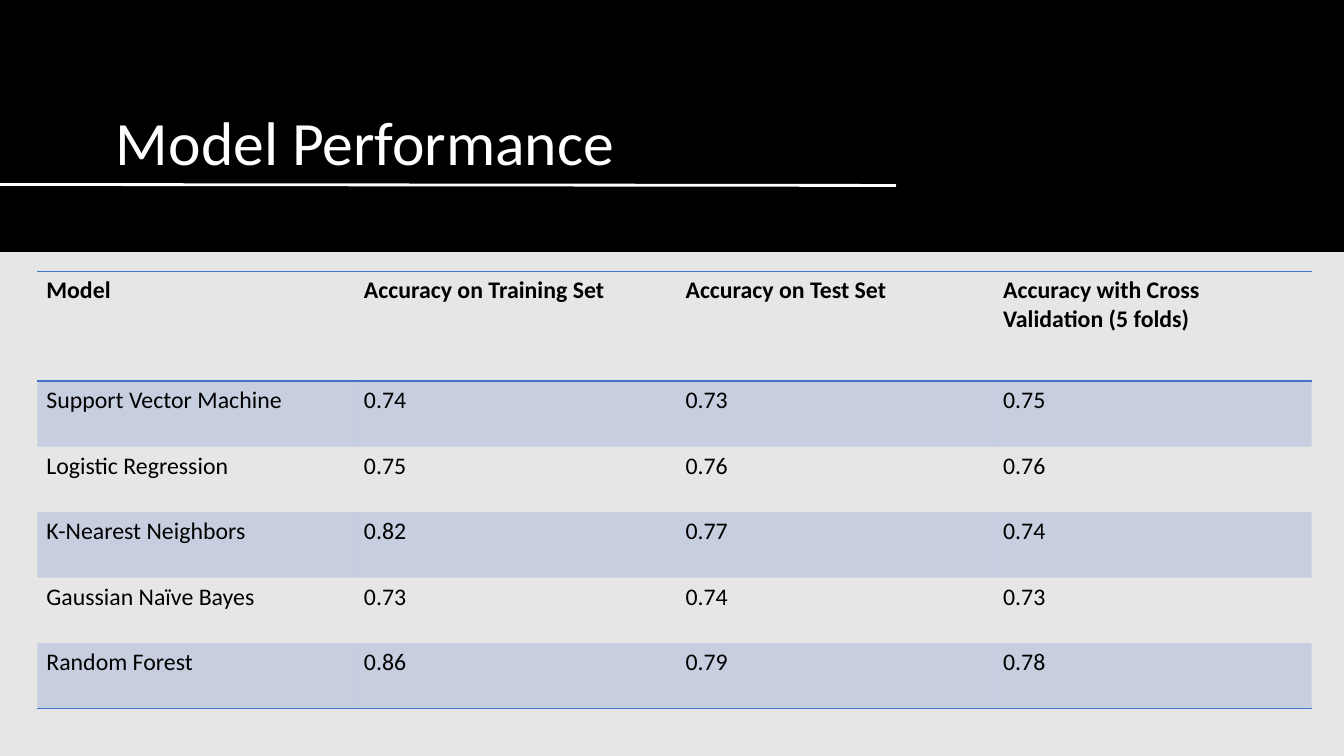
"""Build the Model Performance slide with its table of accuracies."""
from lxml.etree import SubElement
from pptx import Presentation
from pptx.dml.color import RGBColor
from pptx.enum.shapes import MSO_CONNECTOR, MSO_SHAPE
from pptx.enum.text import MSO_ANCHOR, PP_ALIGN
from pptx.oxml.ns import qn
from pptx.util import Inches, Pt

COLORS = {"background": "E7E6E6", "black": "000000", "white": "FFFFFF", "accent": "4472C4"}
FONT = "Calibri"
NO_STYLE = "{2D5ABB26-0587-4C30-8999-92F81FD0307C}"
ROWS = [
    ("Model", "Accuracy on Training Set", "Accuracy on Test Set",
     "Accuracy with Cross Validation (5 folds)"),
    ("Support Vector Machine", "0.74", "0.73", "0.75"),
    ("Logistic Regression", "0.75", "0.76", "0.76"),
    ("K-Nearest Neighbors", "0.82", "0.77", "0.74"),
    ("Gaussian Naïve Bayes", "0.73", "0.74", "0.73"),
    ("Random Forest", "0.86", "0.79", "0.78"),
]
COLUMN_WIDTHS = (3.15, 3.19, 3.15, 3.15)
HEADER_HEIGHT, BODY_HEIGHT = 1.09, 0.65


def color(name):
    return RGBColor.from_string(COLORS[name])


def add_border(cell, side):
    line = SubElement(cell._tc.get_or_add_tcPr(), qn(f"a:{side}"), w=str(Pt(1)))
    fill = SubElement(line, qn("a:solidFill"))
    SubElement(fill, qn("a:srgbClr"), val=COLORS["accent"])


presentation = Presentation()
presentation.slide_width, presentation.slide_height = Inches(13.33), Inches(7.5)
width, height = presentation.slide_width, presentation.slide_height
slide = presentation.slides.add_slide(presentation.slide_layouts[5])
slide.background.fill.solid()
slide.background.fill.fore_color.rgb = color("background")

banner = slide.shapes.add_shape(MSO_SHAPE.RECTANGLE, 0, 0, width, height // 3)
banner.shadow.inherit = False
banner.fill.solid()
banner.fill.fore_color.rgb = color("black")
banner.line.fill.background()
slide.shapes._spTree.insert(2, banner._element)

title = slide.shapes.title
title.left, title.top = Inches(1.05), Inches(0.47)
title.width, title.height = Inches(7.84), Inches(1.35)
title.text_frame.text = "Model Performance"
title.text_frame.vertical_anchor = MSO_ANCHOR.BOTTOM
paragraph = title.text_frame.paragraphs[0]
paragraph.alignment = PP_ALIGN.LEFT
paragraph.line_spacing = 0.9
paragraph.font.name, paragraph.font.size = FONT, Pt(44)
paragraph.font.color.rgb = color("white")

underline = slide.shapes.add_connector(
    MSO_CONNECTOR.STRAIGHT, 0, Inches(1.83), width * 2 // 3, Inches(1.84))
underline.line.color.rgb = color("white")
underline.line.width = Pt(2)
SubElement(underline._element.spPr, qn("a:effectLst"))

table = slide.shapes.add_table(
    len(ROWS), len(COLUMN_WIDTHS), Inches(0.37), Inches(2.69),
    Inches(sum(COLUMN_WIDTHS)), Inches(HEADER_HEIGHT + 5 * BODY_HEIGHT)).table
table.first_row = table.horz_banding = False
table._tbl.tblPr.find(qn("a:tableStyleId")).text = NO_STYLE
for column, column_width in zip(table.columns, COLUMN_WIDTHS):
    column.width = Inches(column_width)

for row_index, values in enumerate(ROWS):
    is_header = row_index == 0
    table.rows[row_index].height = Inches(HEADER_HEIGHT if is_header else BODY_HEIGHT)
    for column_index, value in enumerate(values):
        cell = table.cell(row_index, column_index)
        cell.text = value
        cell.margin_left = cell.margin_right = Inches(0.09)
        cell.margin_top = cell.margin_bottom = Inches(0.05)
        paragraph = cell.text_frame.paragraphs[0]
        paragraph.font.name, paragraph.font.size = FONT, Pt(17)
        paragraph.font.bold = is_header
        paragraph.font.color.rgb = color("black")
        if is_header:
            add_border(cell, "lnT")
        if is_header or row_index == len(ROWS) - 1:
            add_border(cell, "lnB")
        if row_index % 2:
            cell.fill.solid()
            cell.fill.fore_color.rgb = color("accent")
            tint = cell._tc.tcPr.find(qn("a:solidFill")).find(qn("a:srgbClr"))
            SubElement(tint, qn("a:alpha"), val="20000")
        else:
            cell.fill.background()

presentation.save("out.pptx")
